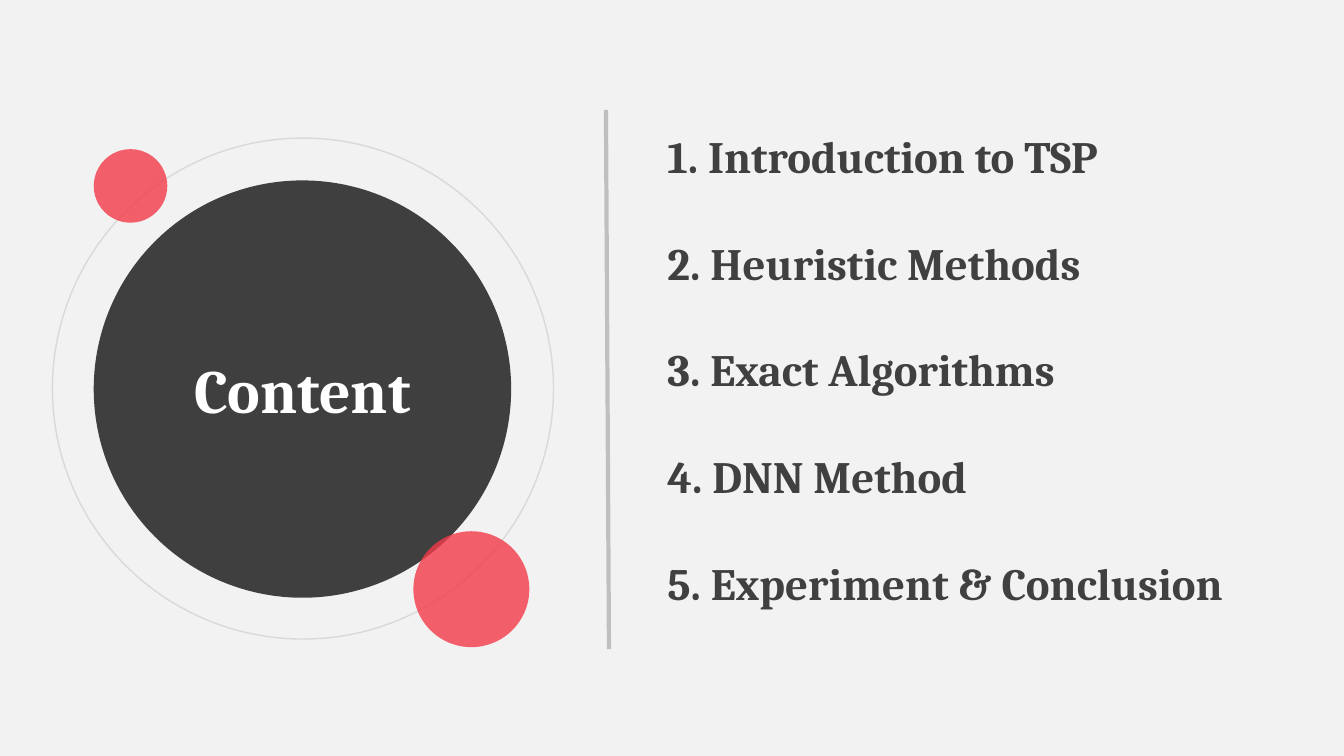
from lxml import etree
from pptx import Presentation
from pptx.dml.color import RGBColor
from pptx.enum import shapes, text
from pptx.oxml import ns
from pptx.util import Inches, Pt

BACKGROUND = RGBColor(0xF2, 0xF2, 0xF2)
INK = RGBColor(0x40, 0x40, 0x40)
DISC = RGBColor(0x3F, 0x3F, 0x3F)
RING = RGBColor(0xD9, 0xD9, 0xD9)
RED = RGBColor(0xF2, 0x3B, 0x48)
DIVIDER = RGBColor(0xBF, 0xBF, 0xBF)
WHITE = RGBColor(0xFF, 0xFF, 0xFF)

HEADING = "Content"
TOPICS = [
    ("1. Introduction to TSP", 5.13),
    ("2. Heuristic Methods", 5.89),
    ("3. Exact Algorithms", 6.64),
    ("4. DNN Method", 6.76),
    ("5. Experiment & Conclusion", 6.64),
]
CIRCLES = [
    {"at": (0.93, 1.79), "size": 4.14, "fill": DISC},
    {"at": (0.52, 1.37), "size": 4.97, "line": RING},
    {"at": (4.1, 5.27), "size": 1.15, "fill": RED, "opacity": 80},
    {"at": (0.93, 1.48), "size": 0.73, "fill": RED, "opacity": 80},
]
TOPIC_LEFT, TOPIC_HEIGHT = 6.57, 0.64
FIRST_TOP, LAST_TOP = 1.23, 5.46


def add_circle(group, at, size, fill=None, line=None, opacity=None):
    """Add one circle to the group."""
    circle = group.shapes.add_shape(
        shapes.MSO_SHAPE.OVAL, *map(Inches, (*at, size, size)))
    circle.shadow.inherit = False
    if fill is None:
        circle.fill.background()
    else:
        circle.fill.solid()
        circle.fill.fore_color.rgb = fill
    if line is None:
        circle.line.fill.background()
    else:
        circle.line.color.rgb = line
        circle.line.width = Pt(1)
    if opacity is not None:
        color = circle.element.spPr.find(".//" + ns.qn("a:srgbClr"))
        etree.SubElement(color, ns.qn("a:alpha"), val=str(opacity * 1000))


def write(box, words, size, color, align):
    """Fill a text box or placeholder with one bold line."""
    frame = box.text_frame
    frame.text = words
    frame_format = {
        "word_wrap": True,
        "auto_size": text.MSO_AUTO_SIZE.SHAPE_TO_FIT_TEXT,
        "vertical_anchor": text.MSO_ANCHOR.TOP,
    }
    for side in ("left", "right", "top", "bottom"):
        frame_format["margin_" + side] = Inches(0.05)
    for name, value in frame_format.items():
        setattr(frame, name, value)
    line = frame.paragraphs[0]
    line.alignment = align
    font = line.runs[0].font
    for name, value in {"name": "Cambria", "size": Pt(size), "bold": True}.items():
        setattr(font, name, value)
    font.color.rgb = color


def main():
    """Build the contents slide."""
    deck = Presentation()
    deck.slide_width, deck.slide_height = Inches(13.33), Inches(7.5)
    slide = deck.slides.add_slide(deck.slide_layouts[5])
    slide.background.fill.solid()
    slide.background.fill.fore_color.rgb = BACKGROUND

    divider = slide.shapes.add_connector(
        shapes.MSO_CONNECTOR.STRAIGHT, *map(Inches, (6.01, 1.09, 6.04, 6.44)))
    divider.line.color.rgb = DIVIDER
    divider.line.width = Pt(3)
    etree.SubElement(divider.element.spPr, ns.qn("a:effectLst"))

    emblem = slide.shapes.add_group_shape()
    for circle in CIRCLES:
        add_circle(emblem, **circle)

    heading = slide.shapes.title
    place = {"left": 1.63, "top": 3.44, "width": 2.74, "height": 0.84}
    for name, value in place.items():
        setattr(heading, name, Inches(value))
    write(heading, HEADING, 44, WHITE, text.PP_ALIGN.CENTER)
    emblem.element.addnext(heading.element)

    pitch = (LAST_TOP - FIRST_TOP) / (len(TOPICS) - 1)
    for row, (words, width) in enumerate(TOPICS):
        top = FIRST_TOP + row * pitch
        topic = slide.shapes.add_textbox(
            *map(Inches, (TOPIC_LEFT, top, width, TOPIC_HEIGHT)))
        write(topic, words, 32, INK, text.PP_ALIGN.LEFT)

    deck.save("out.pptx")


if __name__ == "__main__":
    main()
